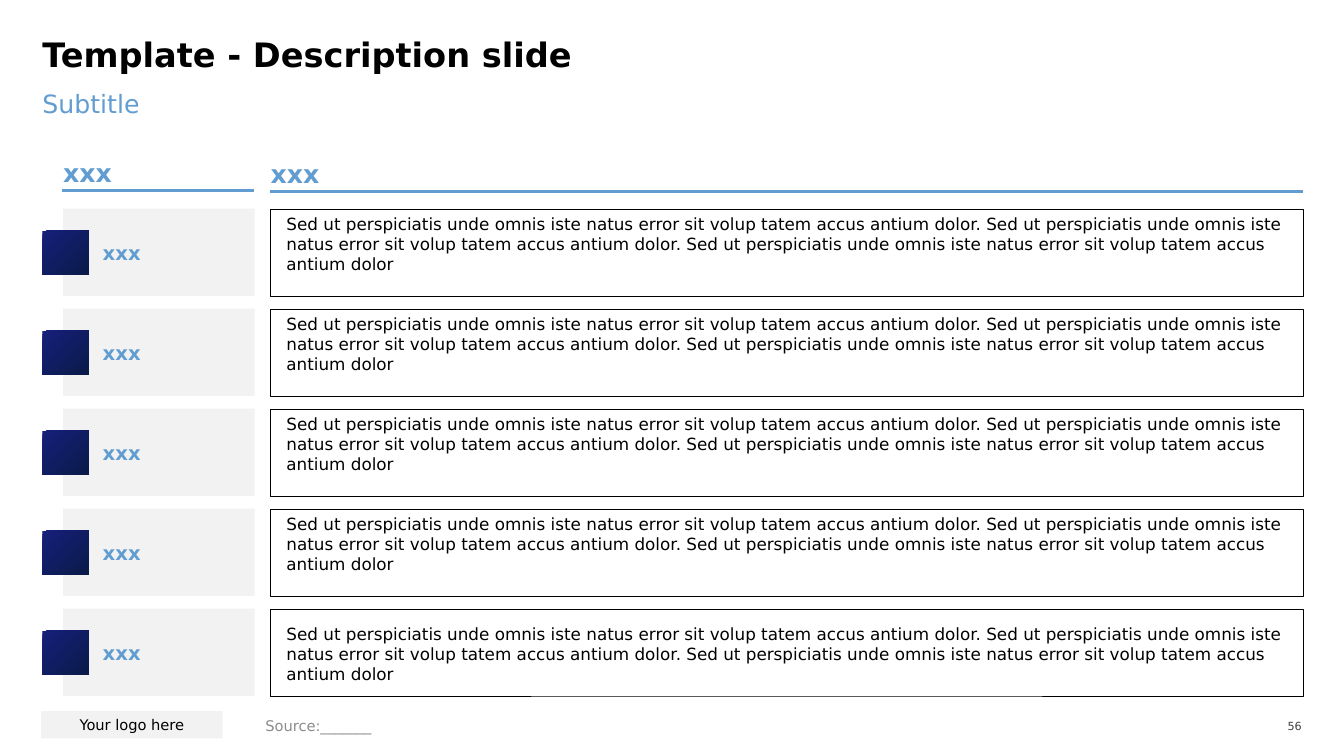
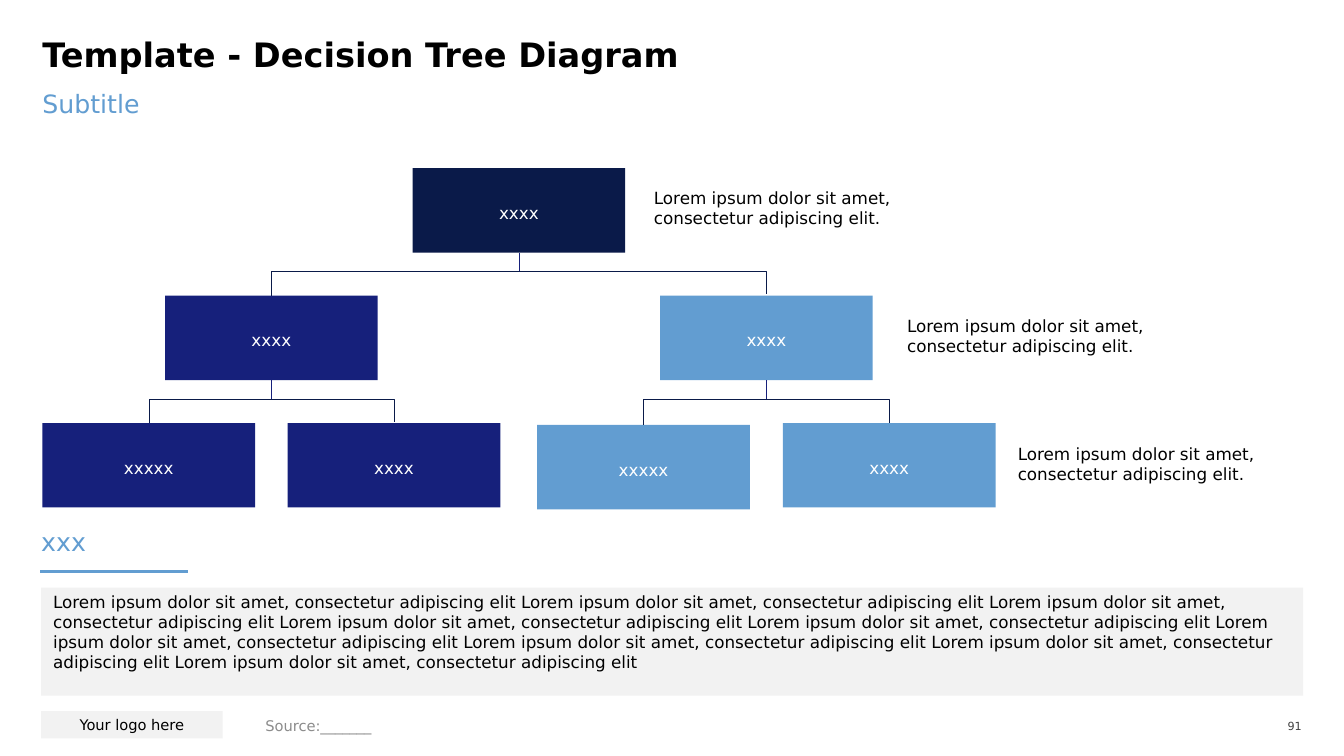
from lxml import etree
from pptx import Presentation
from pptx.dml.color import RGBColor
from pptx.enum import shapes, text
from pptx.oxml import ns
from pptx.util import Cm, Pt

FONT = "DejaVu Sans"
BLACK = RGBColor(0x00, 0x00, 0x00)
WHITE = RGBColor(0xFF, 0xFF, 0xFF)
NAVY = RGBColor(0x0A, 0x1A, 0x49)
INDIGO = RGBColor(0x16, 0x20, 0x7B)
SKY = RGBColor(0x62, 0x9D, 0xD1)
PALE = RGBColor(0xF2, 0xF2, 0xF2)
GREY = RGBColor(0x8C, 0x8C, 0x8C)
DARK_GREY = RGBColor(0x40, 0x40, 0x40)

TOP, MIDDLE, BOTTOM = (text.MSO_ANCHOR.TOP, text.MSO_ANCHOR.MIDDLE,
                       text.MSO_ANCHOR.BOTTOM)
LEFT, CENTER, RIGHT = text.PP_ALIGN.LEFT, text.PP_ALIGN.CENTER, text.PP_ALIGN.RIGHT
STRAIGHT, ELBOW = shapes.MSO_CONNECTOR.STRAIGHT, shapes.MSO_CONNECTOR.ELBOW

SED = "Sed ut perspiciatis unde omnis iste natus error sit volup tatem accus antium dolor"
LOREM = "Lorem ipsum dolor sit amet, consectetur adipiscing elit"


# Basic parts: boxes are (left, top, width, height) in centimetres
def write(sp, words, size, color=BLACK, bold=False, align=LEFT, anchor=TOP,
          insets=(0, 0, 0, 0), spacing=None):
    tf = sp.text_frame
    tf.word_wrap = True
    tf.vertical_anchor = anchor
    (tf.margin_left, tf.margin_top,
     tf.margin_right, tf.margin_bottom) = (Cm(v) for v in insets)
    p = tf.paragraphs[0]
    p.alignment = align
    if spacing:
        p.line_spacing = spacing
    r = p.add_run()
    r.text = words
    r.font.name, r.font.size, r.font.bold = FONT, Pt(size), bold
    r.font.color.rgb = color


def add_text(s, box, words, size, **style):
    sp = s.shapes.add_textbox(*(Cm(v) for v in box))
    write(sp, words, size, **style)


def add_rect(s, box, fill=None, line=None):
    sp = s.shapes.add_shape(shapes.MSO_SHAPE.RECTANGLE, *(Cm(v) for v in box))
    sp.shadow.inherit = False
    if fill is None:
        sp.fill.background()
    else:
        sp.fill.solid()
        sp.fill.fore_color.rgb = fill
    if line is None:
        sp.line.fill.background()
    else:
        sp.line.color.rgb = line
        sp.line.width = Pt(0.25)
    return sp


def add_connector(s, kind, ends, color, width):
    line = s.shapes.add_connector(kind, *ends)
    line.line.color.rgb = color
    line.line.width = Pt(width)
    etree.SubElement(line._element.spPr, ns.qn("a:effectLst"))
    return line


def add_heading(s, x, y, rule_width, rule_drop, bold):
    add_text(s, (x, y, 7.44, 0.86), "xxx", 18, color=SKY, bold=bold, anchor=BOTTOM)
    rule_y = Cm(y + rule_drop)
    add_connector(s, STRAIGHT, (Cm(x - 0.02), rule_y, Cm(x + rule_width), rule_y),
                  SKY, 2.25)


# Title, subtitle and footer shared by the slides
def add_frame_slide(prs, title, number):
    s = prs.slides.add_slide(prs.slide_layouts[6])
    add_text(s, (1.07, 1.05, 31.72, 1.35), title, 24, bold=True, spacing=0.8)
    add_text(s, (1.07, 2.22, 31.72, 1.6), "Subtitle", 18, color=SKY)
    logo = add_rect(s, (1.04, 17.92, 4.57, 0.69), PALE)
    write(logo, "Your logo here", 10.5, align=CENTER, anchor=MIDDLE,
          insets=(0.25, 0.25, 0.25, 0.25))
    add_text(s, (6.44, 17.96, 16.23, 0.66), "Source:_______", 10.5, color=GREY,
             anchor=MIDDLE, insets=(0.25, 0.13, 0.25, 0.13))
    add_text(s, (31.74, 18.01, 1.07, 0.58), number, 8, color=DARK_GREY,
             align=RIGHT, anchor=MIDDLE)
    return s


# One row: label, marker and description
def add_description_row(s, box, anchor, top_inset):
    x, y, w, h = box
    label = add_rect(s, (x + 0.52, y, 4.83, h), PALE)
    write(label, "xxx", 14, color=SKY, bold=True, anchor=MIDDLE,
          insets=(1, 0.1, 0.25, 0.1))
    body = add_rect(s, (x + 5.74, y, w - 5.74, h), line=BLACK)
    write(body, ". ".join([SED] * 3), 12, anchor=anchor,
          insets=(0.41, top_inset, 0.4, 0.13))
    marker = add_rect(s, (x, y + 0.55, 1.17, 1.11))
    marker.fill.gradient()
    marker.fill.gradient_angle = 315
    for stop, color in zip(marker.fill.gradient_stops, (INDIGO, NAVY)):
        stop.color.rgb = color


def build_description(prs):
    s = add_frame_slide(prs, "Template - Description slide", "56")
    add_heading(s, 1.59, 3.86, 4.81, 0.94, True)
    add_heading(s, 6.82, 3.89, 26.02, 0.94, True)
    rows, pitch = 5, 2.52
    for i in range(rows):
        last = i == rows - 1
        add_description_row(s, (1.07, 5.26 + i * pitch, 31.77, 2.2),
                            MIDDLE if last else TOP, 0.21 if last else 0.12)


# Decision tree
def link(s, parent, first, second):
    # A stem from the parent meets a bracket over the two children
    rail_y = second.top - Cm(0.61)
    stem_x = parent.left + parent.width // 2
    add_connector(s, STRAIGHT, (stem_x, parent.top + parent.height, stem_x, rail_y),
                  INDIGO, 0.25)
    bracket = add_connector(s, ELBOW, (0, 0, 0, 0), NAVY, 0.25)
    bracket.begin_connect(first, 0)
    bracket.end_connect(second, 0)
    # Turned a quarter, the bracket's width is the step between its feet
    step = max(first.top - second.top, Cm(0.03))
    run = second.left - first.left
    middle_x = first.left + (first.width + run) // 2
    bracket.left, bracket.top = middle_x - step // 2, first.top - (step + run) // 2
    bracket.width, bracket.height = step, run
    spPr = bracket._element.spPr
    xfrm = spPr.find(ns.qn("a:xfrm"))
    for key, value in (("rot", "5400000"), ("flipH", "1"), ("flipV", "1")):
        xfrm.set(key, value)
    geometry = spPr.find(ns.qn("a:prstGeom"))
    guides = geometry.find(ns.qn("a:avLst"))
    if guides is None:
        guides = etree.SubElement(geometry, ns.qn("a:avLst"))
    bend = round(100000 * (first.top - rail_y) / step)
    etree.SubElement(guides, ns.qn("a:gd"), name="adj1", fmla=f"val {bend}")


def add_tree(s, x, y):
    node_w, node_h, pitch = 5.36, 2.13, 3.21

    def add_node(dx, dy, words, color):
        sp = add_rect(s, (x + dx, y + dy, node_w, node_h), color)
        write(sp, words, 12, color=WHITE, align=CENTER, anchor=MIDDLE,
              insets=(0.2, 0.41, 0.2, 0.41), spacing=Pt(17.5))
        return sp

    # Left and right leaf, drop of the left leaf, colour
    branches = ((0, 6.18, 0, INDIGO), (12.47, 18.66, 0.05, SKY))
    centres = [(left + right) / 2 for left, right, drop, color in branches]
    root = add_node(sum(centres) / 2, 0, "xxxx", NAVY)
    parents = [add_node(centre, pitch, "xxxx", branch[3])
               for centre, branch in zip(centres, branches)]
    link(s, root, *parents)
    for parent, (left, right, drop, color) in zip(parents, branches):
        link(s, parent, add_node(left, 2 * pitch + drop, "xxxxx", color),
             add_node(right, 2 * pitch, "xxxx", color))

    # Note beside each level
    for level, dx in enumerate((15.41, 21.79, 24.58)):
        add_text(s, (x + dx, y - 0.02 + level * 3.23, 6.17, node_h), LOREM + ".", 12,
                 insets=(0, 0.5, 0, 0.13))


def build_decision_tree(prs):
    s = add_frame_slide(prs, "Template - Decision Tree Diagram", "91")
    add_tree(s, 1.07, 4.24)
    add_heading(s, 1.04, 13.16, 3.7, 1.24, False)
    summary = add_rect(s, (1.04, 14.81, 31.8, 2.72), PALE)
    write(summary, " ".join([LOREM] * 9), 12, insets=(0.3, 0.1, 0.2, 0.2))


def main():
    prs = Presentation()
    prs.slide_width, prs.slide_height = Cm(33.87), Cm(19.05)
    build_description(prs)
    build_decision_tree(prs)
    prs.save("out.pptx")


if __name__ == "__main__":
    main()
